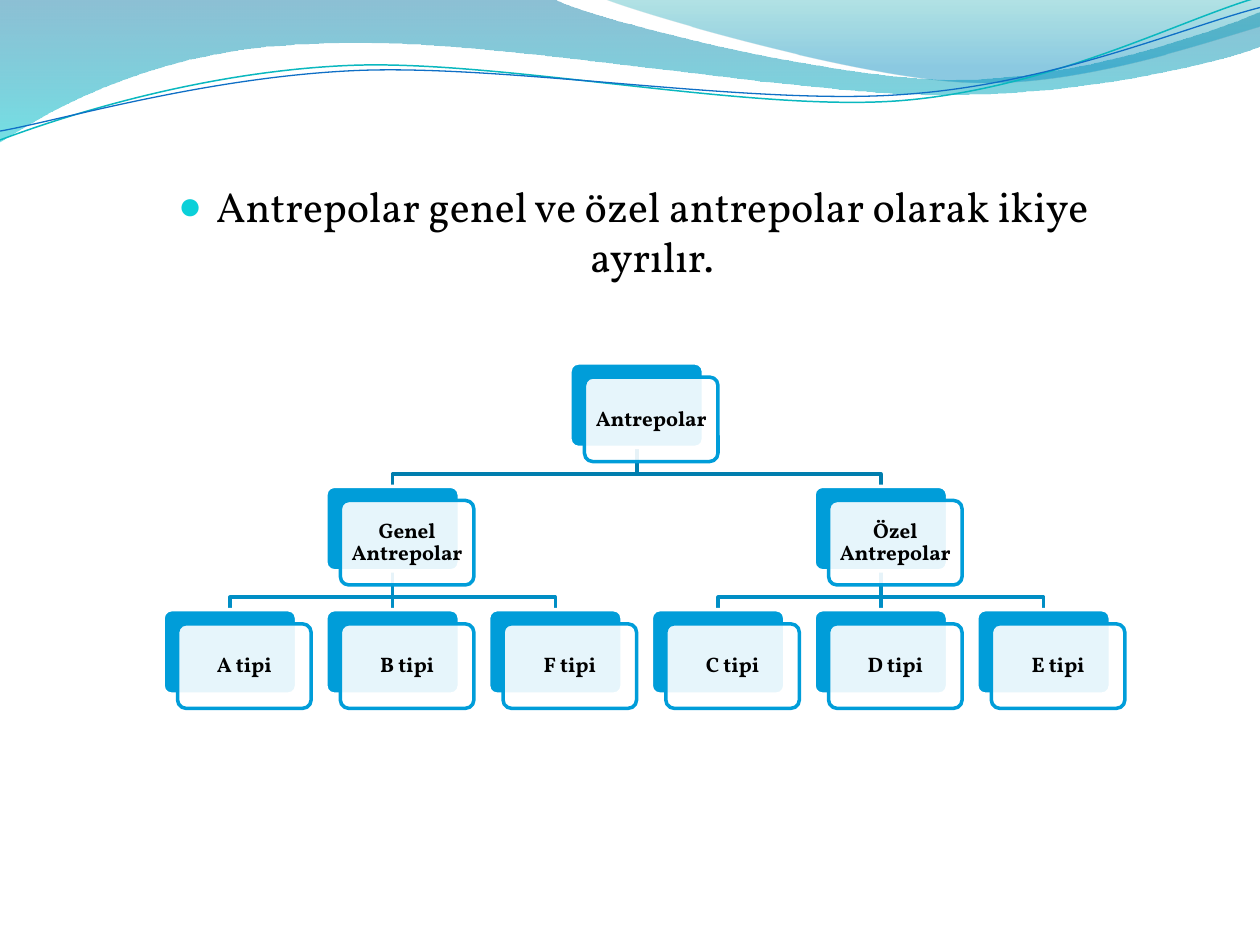
import math
from dataclasses import dataclass

import pptx
import pptx.dml.color
import pptx.enum.shapes
import pptx.enum.text
import pptx.oxml.ns
import pptx.util
from lxml import etree

Pt = pptx.util.Pt
RGBColor = pptx.dml.color.RGBColor
qn = pptx.oxml.ns.qn
ALIGN = pptx.enum.text.PP_ALIGN
ANCHOR = pptx.enum.text.MSO_ANCHOR

BLACK = RGBColor(0x00, 0x00, 0x00)
WHITE = RGBColor(0xFF, 0xFF, 0xFF)
CARD_BLUE = RGBColor(0x00, 0x9D, 0xD9)
UPPER_LINK = RGBColor(0x00, 0x7E, 0xAE)
LOWER_LINK = RGBColor(0x00, 0x8E, 0xC5)
BULLET_CYAN = RGBColor(0x0B, 0xD0, 0xD9)
STRAND_TEAL = RGBColor(0x0A, 0xB8, 0xBF)
STRAND_BLUE = RGBColor(0x0F, 0x6F, 0xC6)
DEEP_BLUE = RGBColor(0x00, 0x74, 0xA1)
TURQUOISE = RGBColor(0x00, 0xC6, 0xCF)
SEA_GREEN = RGBColor(0x00, 0xA1, 0xA9)
SKY_BLUE = RGBColor(0x00, 0x8B, 0xBF)

FONT = "Vollkorn"
CARD_W, CARD_H = 76.3, 48.3
SHIFT_X, SHIFT_Y = 8.3, 8.1
CHART_LEFT, CHART_TOP = 93.2, 207.4
COLUMN_PITCH, ROW_PITCH = 93, 70.5
BEND = 15.1
LINE_W = 2
STRAIGHT_LINK_HALF_W = 3.6
STRAND_TILT = -2.7


@dataclass
class Stop:
    position: float
    color: RGBColor
    opacity: int


@dataclass
class Wave:
    """Each leg holds one point for a line or three for a cubic curve."""
    start: tuple
    legs: list
    stops: tuple


@dataclass
class Strand:
    start: tuple
    legs: list
    center: tuple
    color: RGBColor
    width: float


@dataclass
class Node:
    label: str
    column: float
    row: int
    children: tuple = ()

    @property
    def left(self) -> float:
        return CHART_LEFT + self.column * COLUMN_PITCH

    @property
    def top(self) -> float:
        return CHART_TOP + self.row * ROW_PITCH

    @property
    def center(self) -> float:
        return self.left + CARD_W / 2


WAVES = [
    Wave((0, 0), [
        [(317, -0.5)],
        [(343, 12), (478, 45.4), (546, 45.4)],
        [(614, 45.4), (690, 18.7), (720, 6.5)],
        [(720.7, 26)],
        [(708, 31.7), (626, 54.7), (537, 54)],
        [(448, 54), (275, 20), (185, 24.5)],
        [(93, 26), (33, 60), (-0.7, 81.4)],
        [(0, 0)],
    ], (Stop(0, DEEP_BLUE, 45), Stop(1, TURQUOISE, 55))),
    Wave((345, -0.7), [
        [(366, 8), (491, 44.6), (554, 46.8)],
        [(616.5, 49.7), (692, 23), (720, 15)],
        [(720, 0)],
        [(345, -0.7)],
    ], (Stop(0, SEA_GREEN, 30), Stop(0.8, SKY_BLUE, 45))),
]
STRANDS = [
    Strand((0, 80), [
        [(34.6, 67), (114, 41), (199.5, 37.4)],
        [(284.4, 33.8), (427, 64), (513.4, 57.6)],
        [(600, 51), (675.4, 10.8), (718.6, -1.4)],
    ], (359.3, 41.4), STRAND_TEAL, 0.85),
    Strand((0, 74.9), [
        [(33.8, 69), (118, 44), (203.8, 40.3)],
        [(290, 36.7), (430, 60.5), (516, 54)],
        [(602, 48.2), (677.5, 15.1), (720, 4.3)],
    ], (359.6, 42.5), STRAND_BLUE, 0.75),
]


def type_row(letters: str, first_column: int) -> tuple:
    return tuple(Node(f"{letter} tipi", first_column + i, 2) for i, letter in enumerate(letters))


WAREHOUSES = Node("Antrepolar", 2.5, 0, (
    Node("Genel Antrepolar", 1, 1, type_row("ABF", 0)),
    Node("Özel Antrepolar", 4, 1, type_row("CDE", 3)),
))


def add_outline(slide, start: tuple, legs: list, closed: bool = False, frame=None):
    """Freeform of lines and cubic curves; frame holds points that set its bounds."""
    corner, *others = [(Pt(x), Pt(y)) for x, y in frame or [start, *(leg[-1] for leg in legs)]]
    builder = slide.shapes.build_freeform(*corner)
    builder.add_line_segments(others, close=closed)
    outline = builder.convert_to_shape()
    outline.shadow.inherit = False
    route = next(outline._element.spPr.iter(qn("a:path")))
    for step in list(route):
        route.remove(step)
    for leg in [[start], *legs]:
        kind = "a:cubicBezTo" if len(leg) == 3 else "a:lnTo" if len(route) else "a:moveTo"
        step = etree.SubElement(route, qn(kind))
        for x, y in leg:
            etree.SubElement(step, qn("a:pt"), x=str(Pt(x) - outline.left), y=str(Pt(y) - outline.top))
    if closed:
        etree.SubElement(route, qn("a:close"))
    return outline


def set_opacities(shape, *percents: int) -> None:
    for color, percent in zip(shape._element.spPr.iter(qn("a:srgbClr")), percents):
        etree.SubElement(color, qn("a:alpha"), val=str(percent * 1000))


def set_line(shape, color: RGBColor, width: float) -> None:
    shape.line.color.rgb = color
    shape.line.width = Pt(width)


def draw_wave(slide, wave: Wave) -> None:
    outline = add_outline(slide, wave.start, wave.legs, closed=True)
    outline.fill.gradient()
    outline.fill.gradient_angle = 270
    for target, stop in zip(outline.fill.gradient_stops, wave.stops):
        target.color.rgb = stop.color
        target.position = stop.position
    set_opacities(outline, *(stop.opacity for stop in wave.stops))
    outline.line.fill.background()


def turn(point: tuple, center: tuple, degrees: float) -> tuple:
    angle = math.radians(degrees)
    dx, dy = point[0] - center[0], point[1] - center[1]
    return (center[0] + dx * math.cos(angle) - dy * math.sin(angle),
            center[1] + dx * math.sin(angle) + dy * math.cos(angle))


def draw_strand(slide, strand: Strand) -> None:
    start, *legs = [[turn(point, strand.center, -STRAND_TILT) for point in leg]
                    for leg in [[strand.start], *strand.legs]]
    outline = add_outline(slide, start[0], legs)
    outline.rotation = STRAND_TILT
    outline.fill.background()
    set_line(outline, strand.color, strand.width)


def write(shape, text: str, *, size: float, bold: bool = False, anchor=ANCHOR.TOP,
          inset=None, line_spacing=None, space_after=None):
    frame = shape.text_frame
    frame.word_wrap = True
    frame.auto_size = pptx.enum.text.MSO_AUTO_SIZE.NONE
    frame.vertical_anchor = anchor
    if inset is not None:
        frame.margin_left = frame.margin_right = frame.margin_top = frame.margin_bottom = Pt(inset)
    paragraph = frame.paragraphs[0]
    paragraph.alignment = ALIGN.CENTER
    if line_spacing is not None:
        paragraph.line_spacing = line_spacing
    if space_after is not None:
        paragraph.space_after = Pt(space_after)
    run = paragraph.add_run()
    run.text = text
    run.font.name, run.font.size, run.font.bold = FONT, Pt(size), bold
    run.font.color.rgb = BLACK
    return paragraph


def add_bullet(paragraph) -> None:
    properties = paragraph._p.get_or_add_pPr()
    properties.set("marL", str(Pt(21.6)))
    properties.set("indent", str(Pt(-21.6)))
    color = etree.SubElement(properties, qn("a:buClr"))
    etree.SubElement(color, qn("a:srgbClr"), val=str(BULLET_CYAN))
    etree.SubElement(properties, qn("a:buSzPct"), val="95000")
    etree.SubElement(properties, qn("a:buChar"), char="●")


def draw_links(slide, parent: Node) -> None:
    x, bottom = parent.center, parent.top + CARD_H
    for child in parent.children:
        end = (child.center, child.top)
        legs, frame = [[(x, bottom + BEND)], [(child.center, bottom + BEND)], [end]], None
        if child.column == parent.column:
            legs = [[end]]
            frame = [(x - STRAIGHT_LINK_HALF_W, bottom), (x + STRAIGHT_LINK_HALF_W, child.top)]
        link = add_outline(slide, (x, bottom), legs, frame=frame)
        link.fill.background()
        set_line(link, LOWER_LINK if parent.row else UPPER_LINK, LINE_W)
        draw_links(slide, child)


def add_card(slide, left: float, top: float, fill: RGBColor, border: RGBColor):
    card = slide.shapes.add_shape(pptx.enum.shapes.MSO_SHAPE.ROUNDED_RECTANGLE,
                                  Pt(left), Pt(top), Pt(CARD_W), Pt(CARD_H))
    card.adjustments[0] = 0.1
    card.shadow.inherit = False
    card.fill.solid()
    card.fill.fore_color.rgb = fill
    set_line(card, border, LINE_W)
    return card


def draw_nodes(slide, node: Node) -> None:
    add_card(slide, node.left, node.top, CARD_BLUE, WHITE)
    front = add_card(slide, node.left + SHIFT_X, node.top + SHIFT_Y, WHITE, CARD_BLUE)
    set_opacities(front, 90)
    write(front, node.label, size=12, bold=True, anchor=ANCHOR.MIDDLE,
          inset=3.6, line_spacing=0.9, space_after=4.2)
    for child in node.children:
        draw_nodes(slide, child)


def main() -> None:
    deck = pptx.Presentation()
    deck.slide_width, deck.slide_height = Pt(720), Pt(540)
    slide = deck.slides.add_slide(deck.slide_layouts[1])
    title = slide.shapes.title._element
    title.getparent().remove(title)
    for wave in WAVES:
        draw_wave(slide, wave)
    for strand in STRANDS:
        draw_strand(slide, strand)
    statement = slide.placeholders[1]
    statement.left, statement.top, statement.width, statement.height = Pt(64.8), Pt(99.4), Pt(594), Pt(36)
    add_bullet(write(statement, "Antrepolar genel ve özel antrepolar olarak ikiye ayrılır.", size=24))
    draw_links(slide, WAREHOUSES)
    draw_nodes(slide, WAREHOUSES)
    deck.save("out.pptx")


if __name__ == "__main__":
    main()
